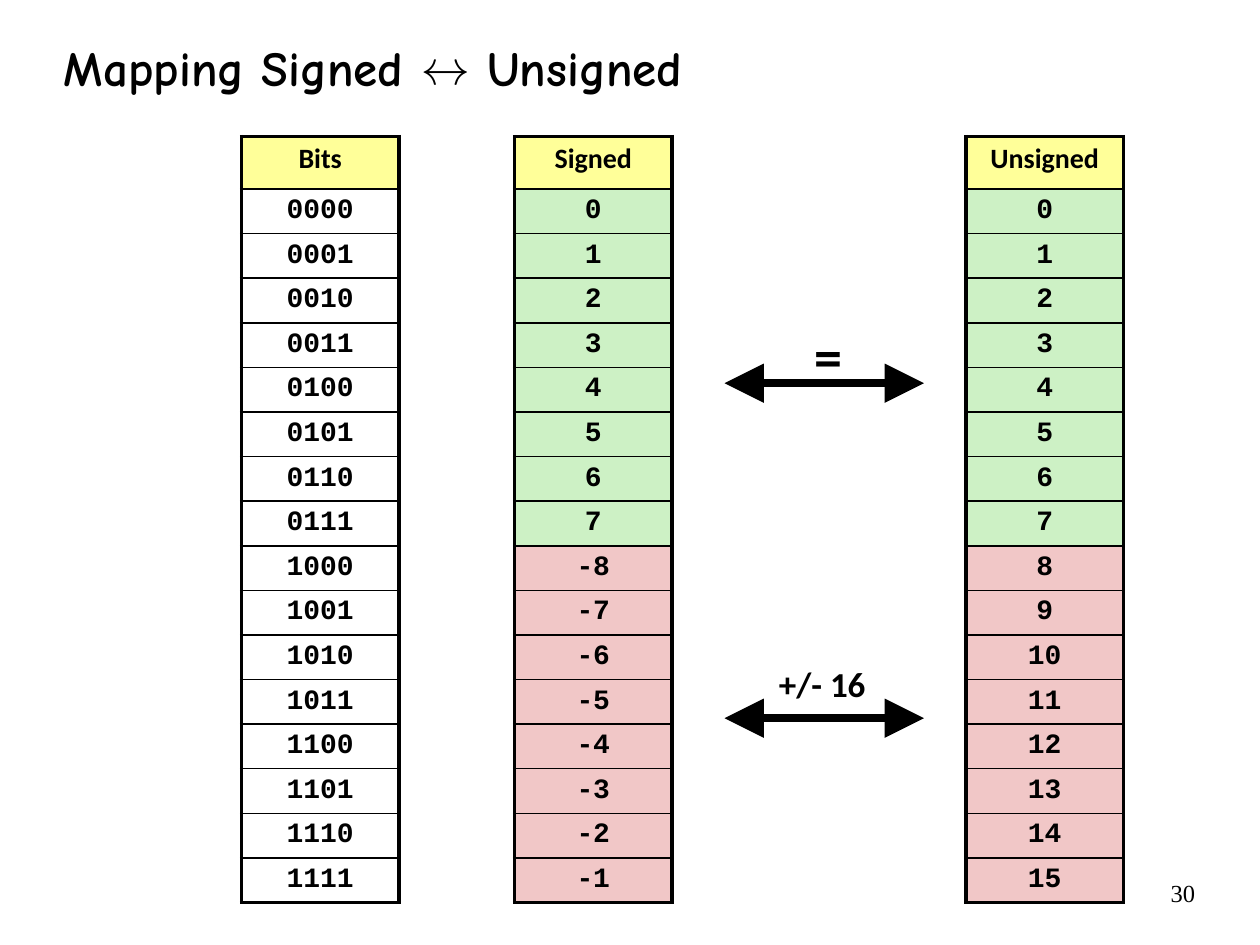
from dataclasses import dataclass

from lxml.etree import SubElement
from pptx import Presentation
from pptx.dml.color import RGBColor
from pptx.enum.shapes import MSO_CONNECTOR
from pptx.enum.text import MSO_ANCHOR, MSO_AUTO_SIZE, PP_ALIGN
from pptx.oxml import parse_xml
from pptx.oxml.ns import nsdecls, qn
from pptx.util import Inches, Pt


@dataclass(frozen=True)
class Theme:
    """Colours, fonts, type sizes and line widths of the slide."""
    ink: str = "000000"
    header: str = "FFFF99"
    same: str = "CDF1C5"
    shifted: str = "F1C7C7"
    title_font: str = "Comic Neue"
    label_font: str = "Calibri"
    value_font: str = "Courier New"
    number_font: str = "Times New Roman"
    title_size: int = 28
    equal_size: int = 32
    shift_size: int = 20
    table_size: int = 16
    number_size: int = 14
    arrow: float = 4.5
    frame: float = 2.25
    rule: float = 1


THEME = Theme()
WIDTH, HEIGHT = Inches(10), Inches(7.5)
COLUMNS, ROWS = 120, 90


def across(columns):
    """Turn grid columns into a length."""
    return round(WIDTH * columns / COLUMNS)


def down(rows):
    """Turn grid rows into a length."""
    return round(HEIGHT * rows / ROWS)


def place(box):
    """Turn a grid box into left, top, width and height."""
    left, top, width, height = box
    return across(left), down(top), across(width), down(height)


def write(frame, text, font, size, bold=True, align=PP_ALIGN.LEFT):
    """Write one run into the first paragraph of a frame."""
    para = frame.paragraphs[0]
    para.alignment = align
    span = para.add_run()
    span.text = text
    span.font.name = font
    span.font.size = Pt(size)
    span.font.bold = bold
    span.font.color.rgb = RGBColor.from_string(THEME.ink)
    return para


def text_box(shapes, box, insets=(0.1, 0.05), wrap=True):
    """Add an empty text box with the given side and top insets."""
    frame = shapes.add_textbox(*place(box)).text_frame
    frame.word_wrap = wrap
    frame.margin_left = frame.margin_right = Inches(insets[0])
    frame.margin_top = frame.margin_bottom = Inches(insets[1])
    return frame


def draw_borders(cell, top, bottom):
    """Draw the four borders of a cell, with frame lines at the sides."""
    properties = cell._tc.get_or_add_tcPr()
    widths = {"lnL": THEME.frame, "lnR": THEME.frame, "lnT": top, "lnB": bottom}
    for place_in_order, (tag, width) in enumerate(widths.items()):
        properties.insert(place_in_order, parse_xml(
            f'<a:{tag} {nsdecls("a")} w="{Pt(width)}"><a:solidFill>'
            f'<a:srgbClr val="{THEME.ink}"/></a:solidFill></a:{tag}>'))


def add_value_table(slide, box, heading, values, fills):
    """Fill the box with a one-column table under a heading."""
    header_rows = 5
    value_rows = (box[3] - header_rows) / len(values)
    entries = [heading, *values]
    table = slide.shapes.add_table(len(entries), 1, *place(box)).table
    table.first_row = table.horz_banding = False
    for index, (entry, fill) in enumerate(zip(entries, [THEME.header, *fills])):
        table.rows[index].height = down(value_rows if index else header_rows)
        cell = table.cell(index, 0)
        cell.margin_left = cell.margin_right = Inches(0.05)
        cell.margin_top = cell.margin_bottom = Inches(0.05)
        if fill:
            cell.fill.solid()
            cell.fill.fore_color.rgb = RGBColor.from_string(fill)
        else:
            cell.fill.background()
        font = THEME.value_font if index else THEME.label_font
        para = write(cell.text_frame, entry, font, THEME.table_size, align=PP_ALIGN.CENTER)
        para.line_spacing = 0.95
        draw_borders(cell, THEME.rule if index else THEME.frame,
                     THEME.frame if index == len(values) else THEME.rule)


def add_double_arrow(shapes, left, right, height):
    """Add a level arrow with a large head at both ends."""
    arrow = shapes.add_connector(MSO_CONNECTOR.STRAIGHT, across(right), down(height),
                                 across(left), down(height))
    arrow.line.width = Pt(THEME.arrow)
    arrow.line.color.rgb = RGBColor.from_string(THEME.ink)
    line = arrow.line._get_or_add_ln()
    for tag in ("a:headEnd", "a:tailEnd"):
        SubElement(line, qn(tag), type="triangle", w="lg", len="lg")
    SubElement(arrow._element.spPr, qn("a:effectLst"))


def add_equal_mapping(slide, box):
    """Group the arrow and sign for values that stay the same."""
    left, top, width, _ = box
    shapes = slide.shapes.add_group_shape().shapes
    add_double_arrow(shapes, left, left + width, top + 6.5)
    frame = text_box(shapes, (left + 8, top, 3.84, 7.68), (0.05, 0.05), wrap=False)
    frame.auto_size = MSO_AUTO_SIZE.SHAPE_TO_FIT_TEXT
    write(frame, "=", THEME.label_font, THEME.equal_size, align=PP_ALIGN.CENTER)


def add_shift_mapping(slide, box):
    """Group the arrow and label for values that shift."""
    left, top, width, _ = box
    shapes = slide.shapes.add_group_shape().shapes
    add_double_arrow(shapes, left, left + width, top + 6.4)
    frame = text_box(shapes, (left + 4, top, 11, 6.12))
    frame.vertical_anchor = MSO_ANCHOR.MIDDLE
    write(frame, "+/- 16", THEME.label_font, THEME.shift_size)


def add_title(slide, box):
    """Write the slide title."""
    frame = text_box(slide.shapes, box, (0.07, 0.03))
    write(frame, "Mapping Signed ↔ Unsigned", THEME.title_font, THEME.title_size)


def add_page_number(slide, box):
    """Write the page number at the right of the box."""
    frame = text_box(slide.shapes, box)
    write(frame, "30", THEME.number_font, THEME.number_size, bold=False, align=PP_ALIGN.RIGHT)


def main():
    """Build the slide and save the deck."""
    deck = Presentation()
    deck.slide_width, deck.slide_height = WIDTH, HEIGHT
    slide = deck.slides.add_slide(deck.slide_layouts[6])
    numbers = range(16)
    halves = [THEME.same] * 8 + [THEME.shifted] * 8
    tables = (
        (49, "Signed", [str(n if n < 8 else n - 16) for n in numbers], halves),
        (92, "Unsigned", [str(n) for n in numbers], halves),
        (23, "Bits", [f"{n:04b}" for n in numbers], [None] * 16),
    )
    add_title(slide, (5.25, 3.25, 89.5, 7.25))
    for left, heading, values, fills in tables:
        add_value_table(slide, (left, 13, 15, 73), heading, values, fills)
    add_equal_mapping(slide, (69, 30, 19, 8))
    add_shift_mapping(slide, (69, 62, 19, 8))
    add_page_number(slide, (98, 83, 17, 4))
    deck.save("out.pptx")


if __name__ == "__main__":
    main()
